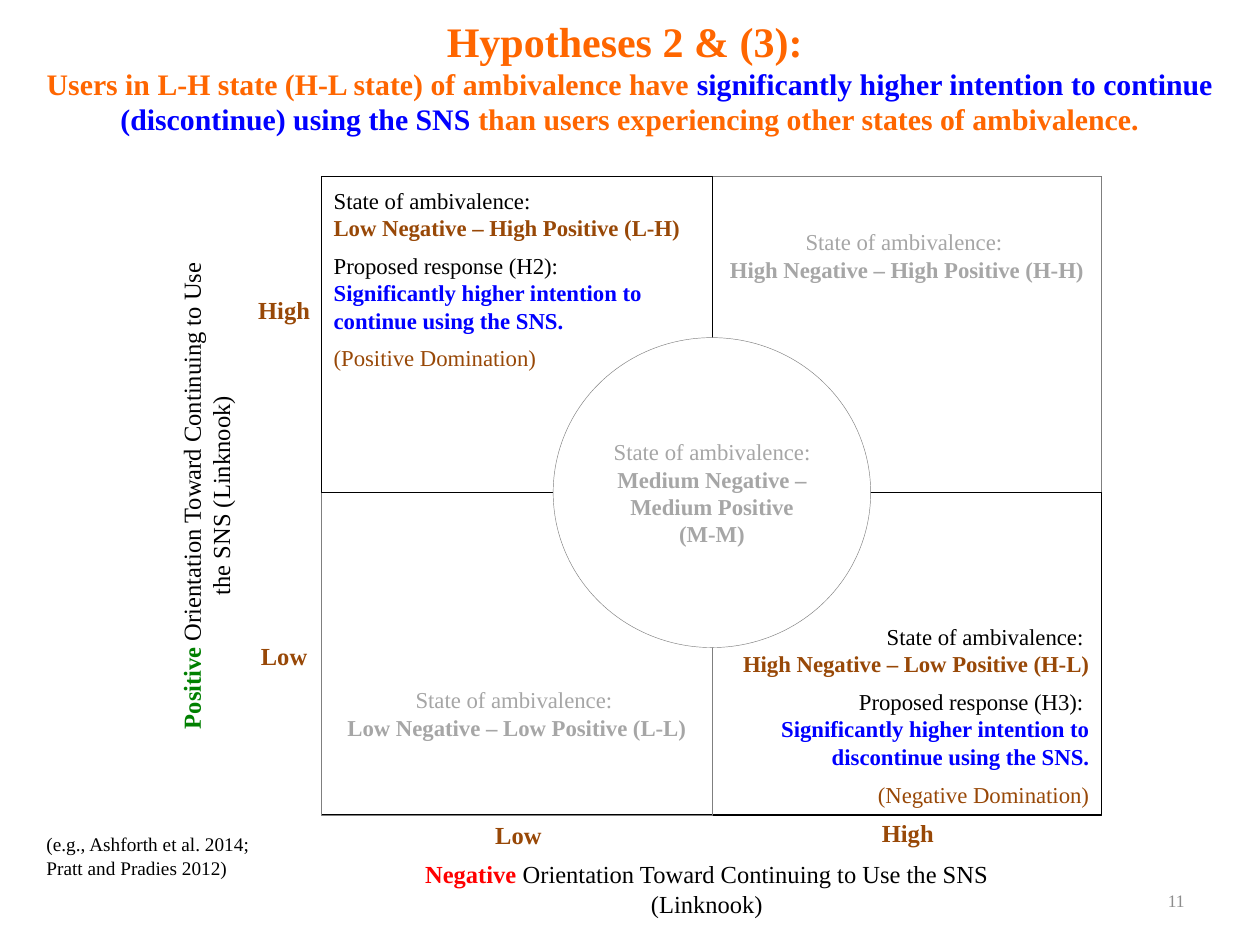
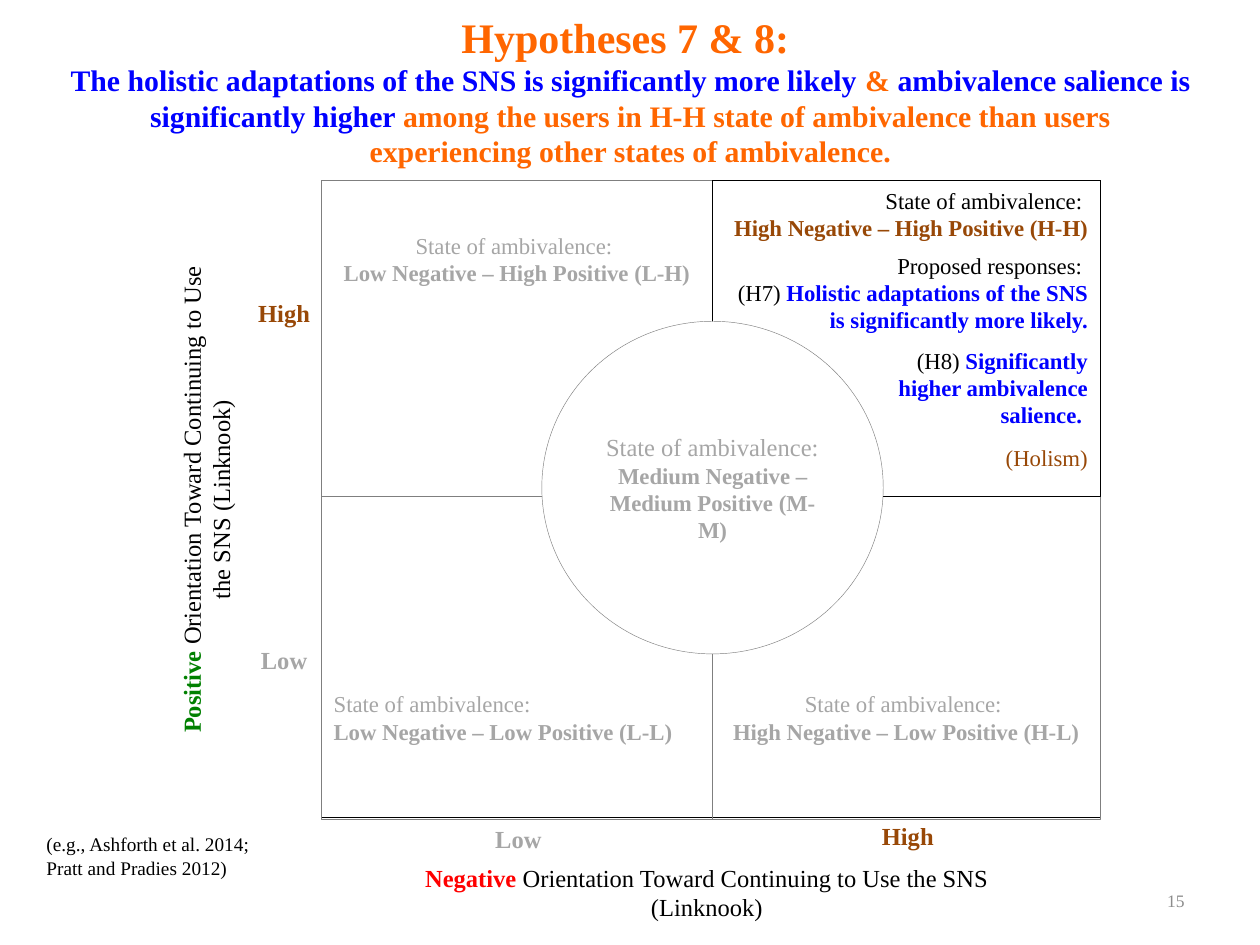
"""Build two slides that map hypotheses onto a grid of ambivalence states."""
from dataclasses import dataclass
from typing import Any, Optional

from pptx import Presentation
from pptx.dml.color import RGBColor
from pptx.enum.shapes import MSO_SHAPE
from pptx.enum.text import MSO_ANCHOR, PP_ALIGN
from pptx.util import Emu, Inches, Pt


@dataclass(frozen=True)
class Theme:
    font: str = "Times New Roman"
    orange: str = "FF6600"
    blue: str = "0000FF"
    brown: str = "984807"
    muted: str = "A6A6A6"
    black: str = "000000"
    white: str = "FFFFFF"
    edge: str = "7F7F7F"
    red: str = "FF0000"
    green: str = "008000"
    number: str = "8C8C8C"
    heading: int = 24
    subheading: int = 17
    label: int = 14
    body: int = 13
    note: int = 11
    page: int = 10
    outline: float = 0.25


@dataclass(frozen=True)
class Box:
    left: float
    top: float
    width: float
    height: float


@dataclass(frozen=True)
class Run:
    text: str
    color: str
    bold: bool = False
    size: int = 13


@dataclass(frozen=True)
class Line:
    runs: tuple[Run, ...]
    align: PP_ALIGN = PP_ALIGN.CENTER
    after: float = 0


@dataclass(frozen=True)
class Cell:
    column: int
    row: int
    lines: tuple[Line, ...]
    inset: float
    edge: str


@dataclass(frozen=True)
class Board:
    top: float
    width: float
    cells: tuple[Cell, ...]
    circle: Box
    circle_size: int
    low_color: str


@dataclass(frozen=True)
class Page:
    number: int
    title_box: Box
    title: tuple[Line, ...]
    board: Board
    extra: Optional[tuple[Box, tuple[Line, ...]]] = None


THEME = Theme()
WIDTH, HEIGHT = Inches(10), Inches(7.5)
COLUMN, ROW = WIDTH // 100, HEIGHT // 75
BOARD_LEFT, SPLIT = 25.5, 31
ROW_HEIGHTS = (25.1, 25.6)
LEFT, CENTER, RIGHT = PP_ALIGN.LEFT, PP_ALIGN.CENTER, PP_ALIGN.RIGHT
AXIS = " Orientation Toward Continuing to Use the SNS (Linknook)"


def apply(target: Any, values: dict[str, Any]) -> None:
    for name, value in values.items():
        setattr(target, name, value)


def place(box: Box) -> tuple[Emu, ...]:
    return (Emu(round(box.left * COLUMN)), Emu(round(box.top * ROW)),
            Emu(round(box.width * COLUMN)), Emu(round(box.height * ROW)))


def write(shape: Any, lines: tuple[Line, ...], **frame_format: Any) -> None:
    frame = shape.text_frame
    apply(frame, {"word_wrap": True, **frame_format})
    for index, line in enumerate(lines):
        paragraph = frame.add_paragraph() if index else frame.paragraphs[0]
        apply(paragraph, {"alignment": line.align, "space_after": Pt(line.after)})
        for part in line.runs:
            run = paragraph.add_run()
            run.text = part.text
            apply(run.font, {"name": THEME.font, "size": Pt(part.size), "bold": part.bold})
            run.font.color.rgb = RGBColor.from_string(part.color)


def add_text(shapes: Any, box: Box, lines: tuple[Line, ...], rotation: float = 0,
             anchor: MSO_ANCHOR = MSO_ANCHOR.TOP) -> None:
    shape = shapes.add_textbox(*place(box))
    shape.rotation = rotation
    write(shape, lines, vertical_anchor=anchor)


def add_outline(shapes: Any, kind: MSO_SHAPE, box: Box, edge: str, filled: bool) -> Any:
    shape = shapes.add_shape(kind, *place(box))
    shape.shadow.inherit = False
    if filled:
        shape.fill.solid()
        shape.fill.fore_color.rgb = RGBColor.from_string(THEME.white)
    else:
        shape.fill.background()
    shape.line.color.rgb = RGBColor.from_string(edge)
    shape.line.width = Pt(THEME.outline)
    return shape


def state(name: str, color: str, align: PP_ALIGN = CENTER, after: float = 0,
          size: int = THEME.body) -> tuple[Line, ...]:
    intro = THEME.muted if color == THEME.muted else THEME.black
    return (Line((Run("State of ambivalence: ", intro, size=size),), align),
            Line((Run(name, color, True),), align, after))


def quiet(column: int, row: int, name: str, align: PP_ALIGN = CENTER) -> Cell:
    return Cell(column, row, state(name, THEME.muted, align), (4.1, 5.9)[row], THEME.edge)


def proposal(name: str, intro: str, response: tuple[Run, ...], align: PP_ALIGN,
             domination: str = "") -> tuple[Line, ...]:
    lines = state(name, THEME.brown, align, 6) + (
        Line((Run(intro, THEME.black),), align), Line(response, align, 6))
    if domination:
        lines += (Line((Run(domination, THEME.brown),), align),)
    return lines


def title(heading: str, *parts: tuple[str, str]) -> tuple[Line, ...]:
    return (Line((Run(heading, THEME.orange, True, THEME.heading),)),
            Line(tuple(Run(text, color, True, THEME.subheading) for text, color in parts)))


def draw_cell(shapes: Any, board: Board, cell: Cell) -> None:
    box = Box(BOARD_LEFT + cell.column * SPLIT, board.top + cell.row * ROW_HEIGHTS[0],
              (SPLIT, board.width - SPLIT)[cell.column], ROW_HEIGHTS[cell.row])
    shape = add_outline(shapes, MSO_SHAPE.RECTANGLE, box, cell.edge, False)
    side = ("margin_top", "margin_bottom")[cell.row]
    anchor = (MSO_ANCHOR.TOP, MSO_ANCHOR.BOTTOM)[cell.row]
    write(shape, cell.lines, vertical_anchor=anchor, **{side: Emu(round(cell.inset * ROW))})


def draw_board(shapes: Any, board: Board) -> None:
    frame = Box(BOARD_LEFT, board.top, board.width, sum(ROW_HEIGHTS) - 0.1)
    add_outline(shapes, MSO_SHAPE.RECTANGLE, frame, THEME.black, True)
    for text, color, left, drop in (
            ("Low", board.low_color, 36.5, 50.6), ("High", THEME.brown, 67.4, 50.4),
            ("Low", board.low_color, 17.9, 36.4), ("High", THEME.brown, 17.9, 8.9)):
        add_text(shapes, Box(left, board.top + drop, 9.3, 3.4),
                 (Line((Run(text, color, True, THEME.label),)),))
    for word, color, left, drop, width, rotation in (
            ("Negative", THEME.red, 30.9, 53.7, 50.4, 0),
            ("Positive", THEME.green, -3.4, 22.5, 39.5, 270)):
        add_text(shapes, Box(left, board.top + drop, width, 5.7),
                 (Line((Run(word, color, True, THEME.label),
                        Run(AXIS, THEME.black, size=THEME.label))),), rotation)
    for cell in board.cells:
        draw_cell(shapes, board, cell)
    circle = add_outline(shapes, MSO_SHAPE.OVAL, board.circle, THEME.edge, True)
    write(circle, state("Medium Negative – Medium Positive (M-M)", THEME.muted,
                        size=board.circle_size), vertical_anchor=MSO_ANCHOR.MIDDLE)


def draw_page(presentation: Any, page: Page) -> None:
    slide = presentation.slides.add_slide(presentation.slide_layouts[6])
    add_text(slide.shapes, page.title_box, page.title)
    draw_board(slide.shapes.add_group_shape().shapes, page.board)
    if page.extra:
        add_text(slide.shapes, *page.extra)
    add_text(slide.shapes, Box(71.7, 69.5, 23.3, 4),
             (Line((Run(str(page.number), THEME.number, size=THEME.page),), RIGHT),),
             anchor=MSO_ANCHOR.MIDDLE)
    add_text(slide.shapes, Box(2.7, 65.6, 22.9, 4.7), tuple(
        Line((Run(text, THEME.black, size=THEME.note),), LEFT)
        for text in ("(e.g., Ashforth et al. 2014; ", "Pratt and Pradies 2012)")))


LOW_HIGH = "Low Negative – High Positive (L-H)"
HIGH_HIGH = "High Negative – High Positive (H-H)"
LOW_LOW = "Low Negative – Low Positive (L-L)"
HIGH_LOW = "High Negative – Low Positive (H-L)"

PAGES = (
    Page(11, Box(2.5, 0.7, 95, 10.8), title(
        "Hypotheses 2 & (3): ",
        ("Users in L-H state (H-L state) of ambivalence have ", THEME.orange),
        ("significantly higher intention to continue (discontinue) using the SNS ", THEME.blue),
        ("than users experiencing other states of ambivalence.", THEME.orange)),
        Board(14, 61.9, (
            quiet(1, 0, HIGH_HIGH),
            Cell(1, 1, proposal(
                HIGH_LOW, "Proposed response (H3): ",
                (Run("Significantly higher intention to discontinue using the SNS.",
                     THEME.blue, True),), RIGHT, "(Negative Domination)"), 0.6, THEME.black),
            quiet(0, 1, LOW_LOW),
            Cell(0, 0, proposal(
                LOW_HIGH, "Proposed response (H2): ",
                (Run("Significantly higher intention to continue using the SNS. ",
                     THEME.blue, True),), LEFT, "(Positive Domination)"), 0.8, THEME.black)),
            Box(43.9, 26.8, 25.2, 24.6), THEME.body, THEME.brown)),
    Page(15, Box(4.2, 0.4, 91.7, 14.1), title(
        "Hypotheses 7 & 8: ",
        ("The holistic adaptations of the SNS is significantly more likely ", THEME.blue),
        ("&", THEME.orange),
        (" ambivalence salience is significantly higher ", THEME.blue),
        ("among the users in H-H state of ambivalence than users experiencing "
         "other states of ambivalence.", THEME.orange)),
        Board(14.3, 61.8, (
            quiet(0, 0, LOW_HIGH),
            quiet(1, 1, HIGH_LOW),
            quiet(0, 1, LOW_LOW, LEFT),
            Cell(1, 0, proposal(
                HIGH_HIGH, "Proposed responses: ",
                (Run("(H7) ", THEME.black),
                 Run("Holistic adaptations of the SNS is significantly more likely.",
                     THEME.blue, True)), RIGHT), 0.5, THEME.black)),
            Box(43, 25.5, 27.1, 26.4), THEME.label, THEME.muted),
        (Box(70.2, 27, 17.1, 10.9), (
            Line((Run("(H8) ", THEME.black),
                  Run("Significantly higher ambivalence salience. ", THEME.blue, True)),
                 RIGHT, 8.5),
            Line((Run("(Holism)", THEME.brown),), RIGHT)))),
)


def main() -> None:
    presentation = Presentation()
    apply(presentation, {"slide_width": WIDTH, "slide_height": HEIGHT})
    for page in PAGES:
        draw_page(presentation, page)
    presentation.save("out.pptx")


main()
